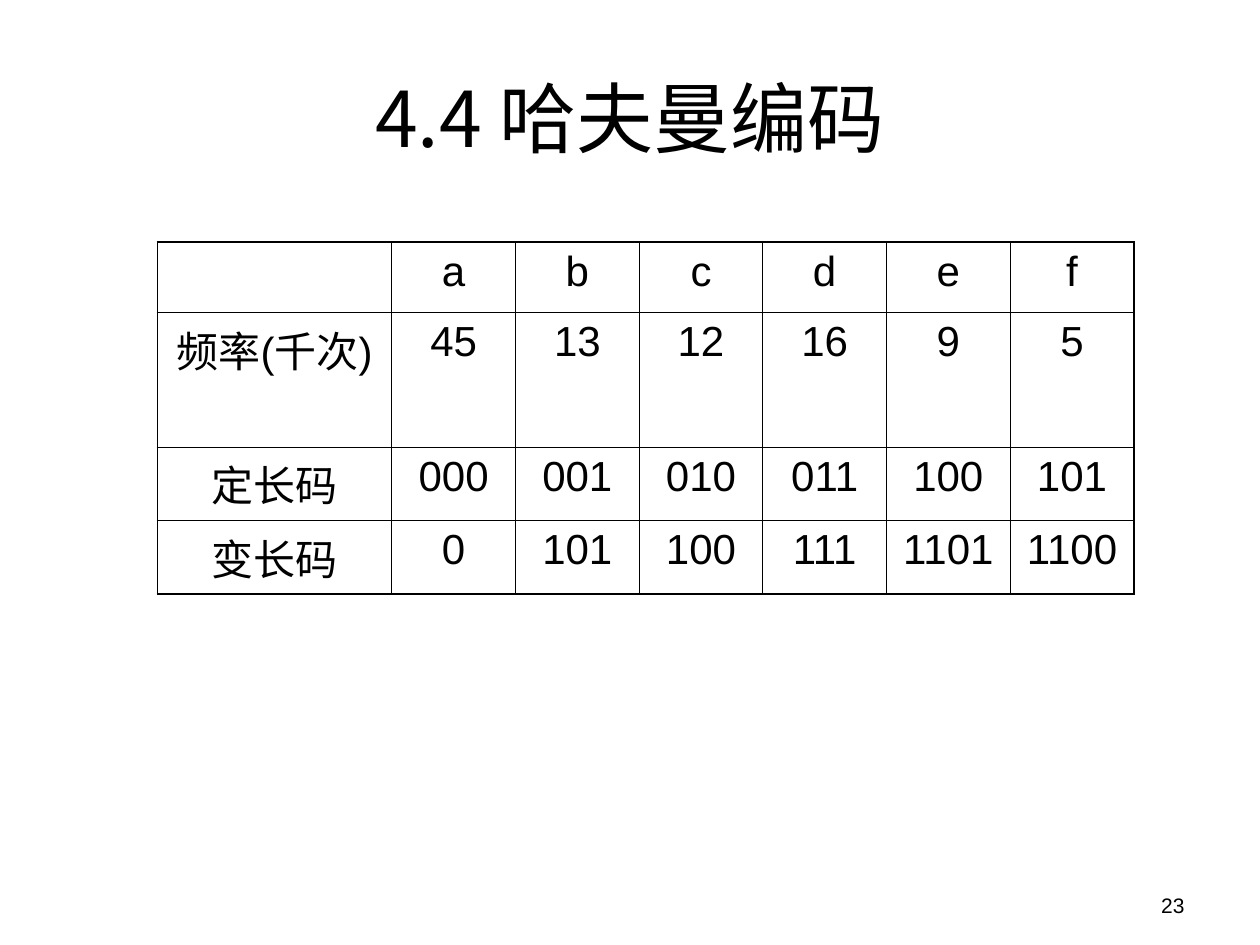
from dataclasses import dataclass

from lxml import etree
from pptx import Presentation
from pptx.dml.color import RGBColor
from pptx.enum.text import MSO_ANCHOR, MSO_AUTO_SIZE, PP_ALIGN
from pptx.oxml.ns import qn
from pptx.util import Inches, Pt

CENTER, RIGHT = PP_ALIGN.CENTER, PP_ALIGN.RIGHT
MIDDLE, BOTTOM = MSO_ANCHOR.MIDDLE, MSO_ANCHOR.BOTTOM
NO_FIT = MSO_AUTO_SIZE.NONE


@dataclass(frozen=True)
class Theme:
    ink: str = "000000"
    paper: str = "FFFFFF"
    latin: str = "Arial"
    han: str = "Noto Sans CJK SC"
    title: int = 44
    body: int = 24
    small: int = 12
    thick: float = 1.08
    thin: float = 0.45
    gap: int = 6


THEME = Theme()

# Content
TITLE = "4.4 哈夫曼编码"
CODES = [
    ["", "a", "b", "c", "d", "e", "f"],
    ["频率(千次)", "45", "13", "12", "16", "9", "5"],
    ["定长码", "000", "001", "010", "011", "100", "101"],
    ["变长码", "0", "101", "100", "111", "1101", "1100"],
]
PAGE = "23"

# Layout in inches: left, top, width, height
WIDE, HIGH = 10, 7.5
TITLE_BOX = (0.05 * WIDE, 0.04 * HIGH, 0.9 * WIDE, 1.25)
PAGE_BOX = (7.17, 6.83, 2.33, 0.5)
GRID_LEFT, GRID_TOP, GRID_WIDE = 1.25, 1.92, 7.75
HEAD_WIDE = 1.86
ROWS = [0.56, 0.9, 0.56, 0.56]


def write(para, text, size, font, align):
    para.alignment = align
    run = para.add_run()
    run.text = text
    run.font.size = Pt(size)
    run.font.name = font
    run.font.color.rgb = RGBColor.from_string(THEME.ink)
    etree.SubElement(run.font._element, qn("a:ea"), typeface=THEME.han)


def rule(cell, side, width):
    line = etree.SubElement(cell._tc.get_or_add_tcPr(), qn(f"a:ln{side}"),
                            w=str(Pt(width)))
    fill = etree.SubElement(line, qn("a:solidFill"))
    etree.SubElement(fill, qn("a:srgbClr"), val=THEME.ink)


def add_title(slide):
    title = slide.shapes.title
    title.left, title.top, title.width, title.height = map(Inches, TITLE_BOX)
    frame = title.text_frame
    frame.auto_size = NO_FIT
    frame.vertical_anchor = MIDDLE
    write(frame.paragraphs[0], TITLE, THEME.title, THEME.han, CENTER)


def add_codes(slide):
    count, span = len(CODES), len(CODES[0])
    table = slide.shapes.add_table(
        count, span, Inches(GRID_LEFT), Inches(GRID_TOP),
        Inches(GRID_WIDE), Inches(sum(ROWS))).table
    table.first_row = table.horz_banding = False
    rest = (GRID_WIDE - HEAD_WIDE) / (span - 1)
    for c, col in enumerate(table.columns):
        col.width = Inches(rest if c else HEAD_WIDE)
    for row, high in zip(table.rows, ROWS):
        row.height = Inches(high)

    for r, line in enumerate(CODES):
        for c, text in enumerate(line):
            cell = table.cell(r, c)
            # Thick rules on the outer edge, thin ones inside
            edges = {"L": c == 0, "R": c == span - 1,
                     "T": r == 0, "B": r == count - 1}
            for side, outer in edges.items():
                rule(cell, side, THEME.thick if outer else THEME.thin)
            cell.fill.background()
            if text:
                para = cell.text_frame.paragraphs[0]
                para.space_before = Pt(THEME.gap)
                write(para, text, THEME.body, THEME.latin, CENTER)


def add_page(slide):
    frame = slide.shapes.add_textbox(*map(Inches, PAGE_BOX)).text_frame
    frame.word_wrap = True
    frame.vertical_anchor = BOTTOM
    write(frame.paragraphs[0], PAGE, THEME.small, THEME.latin, RIGHT)


def main():
    deck = Presentation()
    deck.slide_width, deck.slide_height = Inches(WIDE), Inches(HIGH)
    slide = deck.slides.add_slide(deck.slide_layouts[5])
    back = slide.background.fill
    back.solid()
    back.fore_color.rgb = RGBColor.from_string(THEME.paper)
    add_title(slide)
    add_codes(slide)
    add_page(slide)
    deck.save("out.pptx")


if __name__ == "__main__":
    main()
